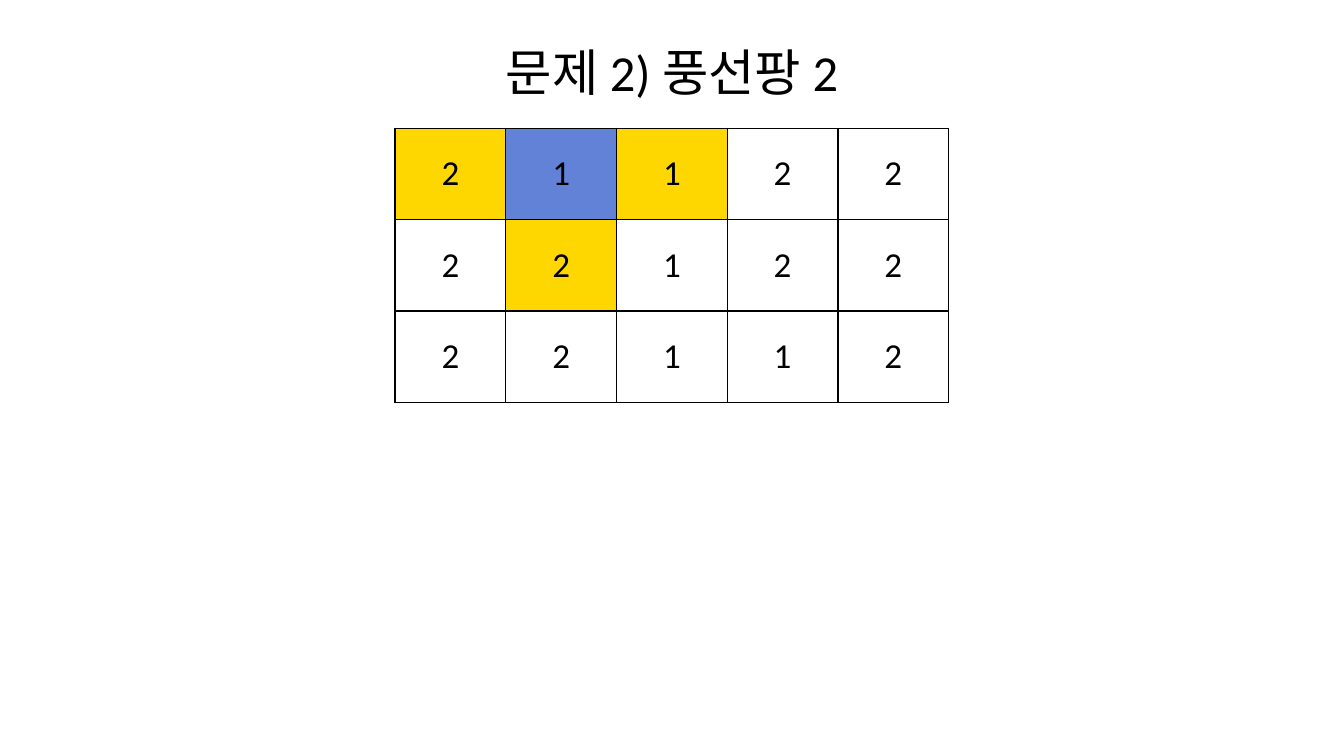
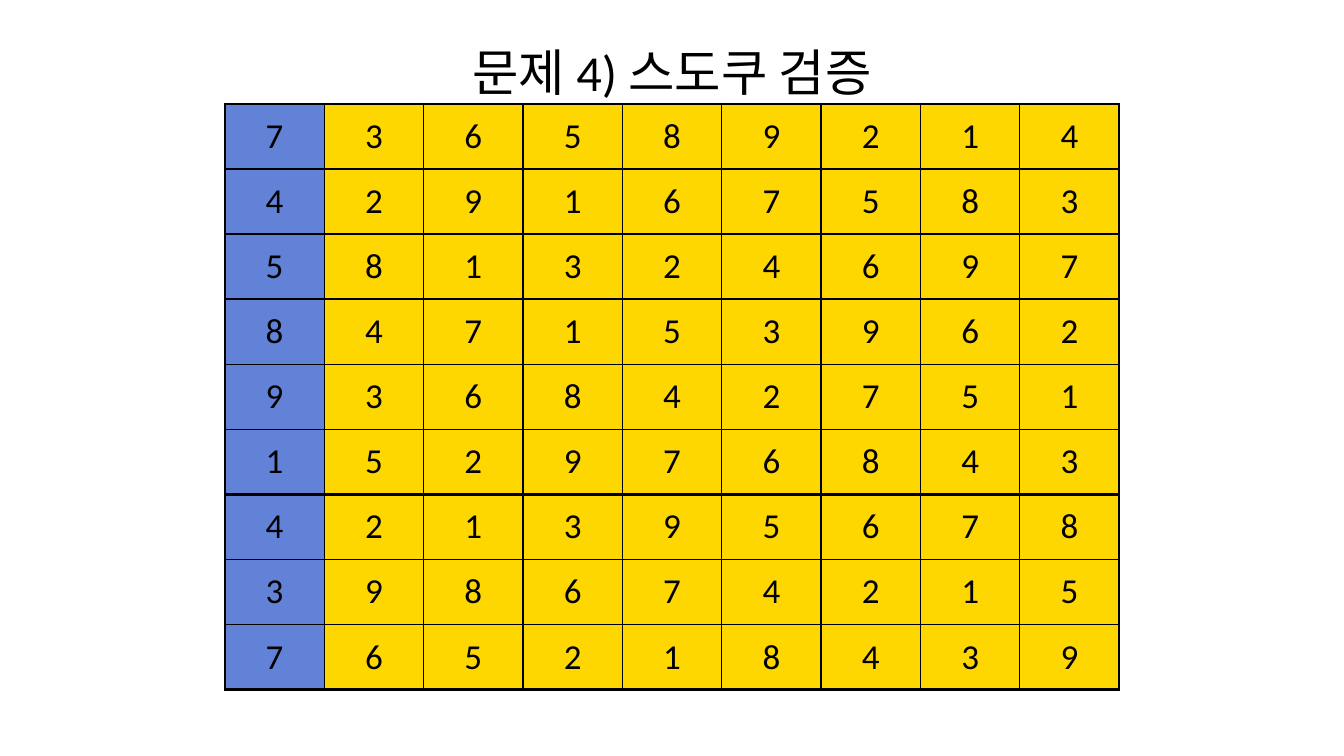
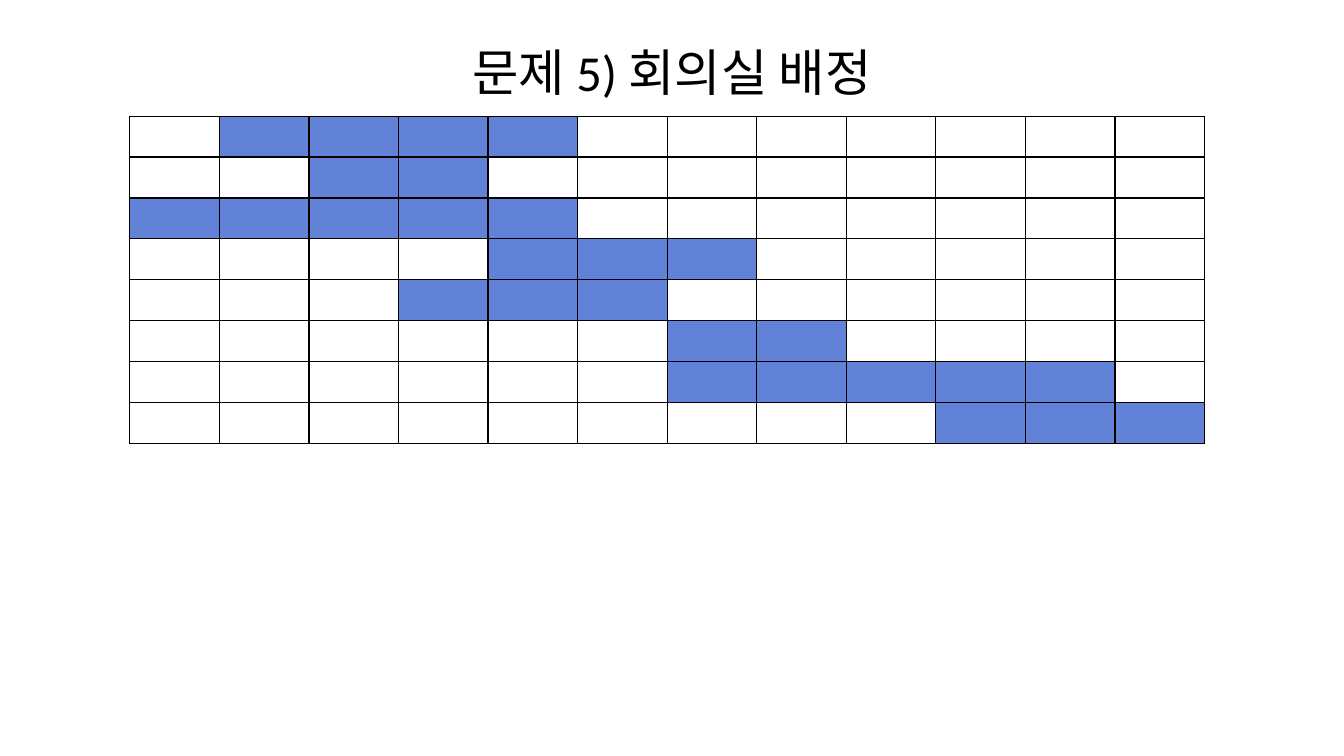
from dataclasses import dataclass

from lxml import etree
from pptx import Presentation
from pptx.dml import color
from pptx.enum import text
from pptx.oxml import ns
from pptx.util import Pt

# Shared style
FONT = "Calibri"
BLACK, GOLD, BLUE = "000000", "FFD700", "6182D6"
FILLS = {"y": GOLD, "b": BLUE, ".": None}
THIN, THICK = 1, 2


@dataclass(frozen=True)
class Grid:
    """A table of equal cells; each string in rows and fills is one row."""
    title: str
    left: float
    top: float
    cell_width: float
    cell_height: float
    fills: tuple[str, ...]
    rows: tuple[str, ...] = ()
    block: int = 0


def rgb(value: str) -> color.RGBColor:
    return color.RGBColor.from_string(value)


def add_text(para, words: str, size: float) -> None:
    para.alignment = text.PP_ALIGN.CENTER
    span = para.add_run()
    span.text = words
    span.font.name = FONT
    span.font.size = Pt(size)
    span.font.color.rgb = rgb(BLACK)


def add_title(page, words: str) -> None:
    box = page.shapes.add_textbox(Pt(48), Pt(28.8), Pt(864), Pt(44.6))
    frame = box.text_frame
    frame.word_wrap = True
    frame.vertical_anchor = text.MSO_ANCHOR.MIDDLE
    add_text(frame.paragraphs[0], words, 36)


def set_borders(cell, widths: dict[str, float]) -> None:
    properties = cell._tc.get_or_add_tcPr()
    for side, width in widths.items():
        line = etree.SubElement(properties, ns.qn(f"a:ln{side}"), w=str(Pt(width)))
        fill = etree.SubElement(line, ns.qn("a:solidFill"))
        etree.SubElement(fill, ns.qn("a:srgbClr"), val=BLACK)


def edge_width(index: int, block: int) -> float:
    """Width of the grid line with this index: thick around each block."""
    return THICK if block and index % block == 0 else THIN


def add_grid(page, grid: Grid) -> None:
    row_count, column_count = len(grid.fills), len(grid.fills[0])
    table = page.shapes.add_table(
        row_count, column_count, Pt(grid.left), Pt(grid.top),
        Pt(grid.cell_width * column_count), Pt(grid.cell_height * row_count)).table
    table.first_row = table.horz_banding = False
    for column in table.columns:
        column.width = Pt(grid.cell_width)
    for r, row in enumerate(table.rows):
        row.height = Pt(grid.cell_height)
        for c, cell in enumerate(row.cells):
            # Lines come before the fill in the cell properties
            set_borders(cell, {"L": edge_width(c, grid.block),
                               "R": edge_width(c + 1, grid.block),
                               "T": edge_width(r, grid.block),
                               "B": edge_width(r + 1, grid.block)})
            fill = FILLS[grid.fills[r][c]]
            if fill:
                cell.fill.solid()
                cell.fill.fore_color.rgb = rgb(fill)
            else:
                cell.fill.background()
            cell.vertical_anchor = text.MSO_ANCHOR.MIDDLE
            if grid.rows:
                add_text(cell.text_frame.paragraphs[0], grid.rows[r][c], 25)


# Slide content
GRIDS = (
    Grid("문제 2) 풍선팡 2", 282.2, 91.6, 79.1, 65.3,
         fills=("yby..", ".y...", "....."),
         rows=("21122", "22122", "22112")),
    Grid("문제 4) 스도쿠 검증", 160.6, 74.2, 71, 46.5,
         fills=("byyyyyyyy",) * 9,
         rows=("736589214", "429167583", "581324697",
               "847153962", "936842751", "152976843",
               "421395678", "398674215", "765218439"),
         block=3),
    Grid("문제 5) 회의실 배정", 92.7, 83, 64, 29.2,
         fills=(".bbbb.......",
                "..bb........",
                "bbbbb.......",
                "....bbb.....",
                "...bbb......",
                "......bb....",
                "......bbbbb.",
                ".........bbb")),
)


def main() -> None:
    deck = Presentation()
    deck.slide_width, deck.slide_height = Pt(960), Pt(540)
    for grid in GRIDS:
        page = deck.slides.add_slide(deck.slide_layouts[6])
        add_title(page, grid.title)
        add_grid(page, grid)
    deck.save("out.pptx")


if __name__ == "__main__":
    main()
